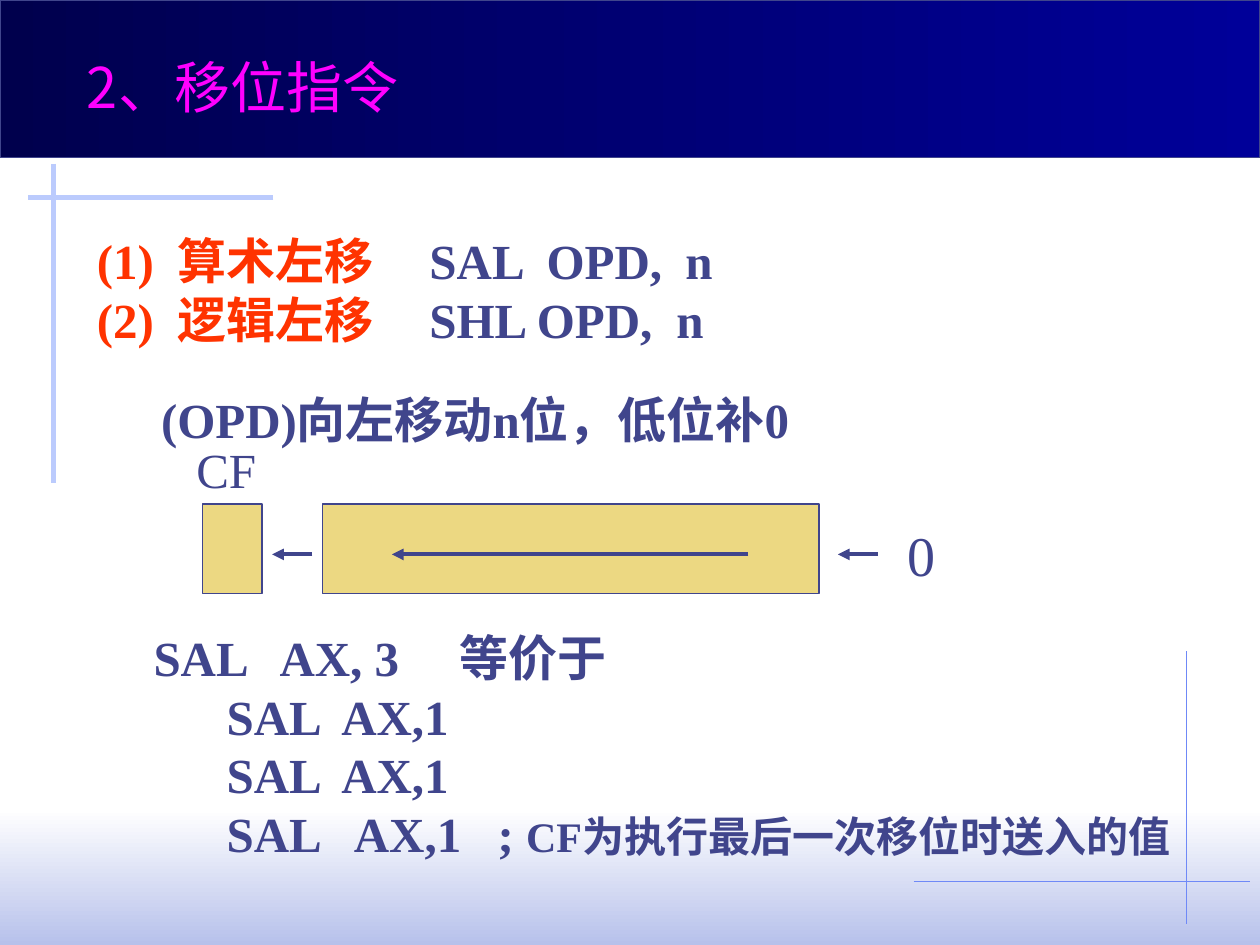
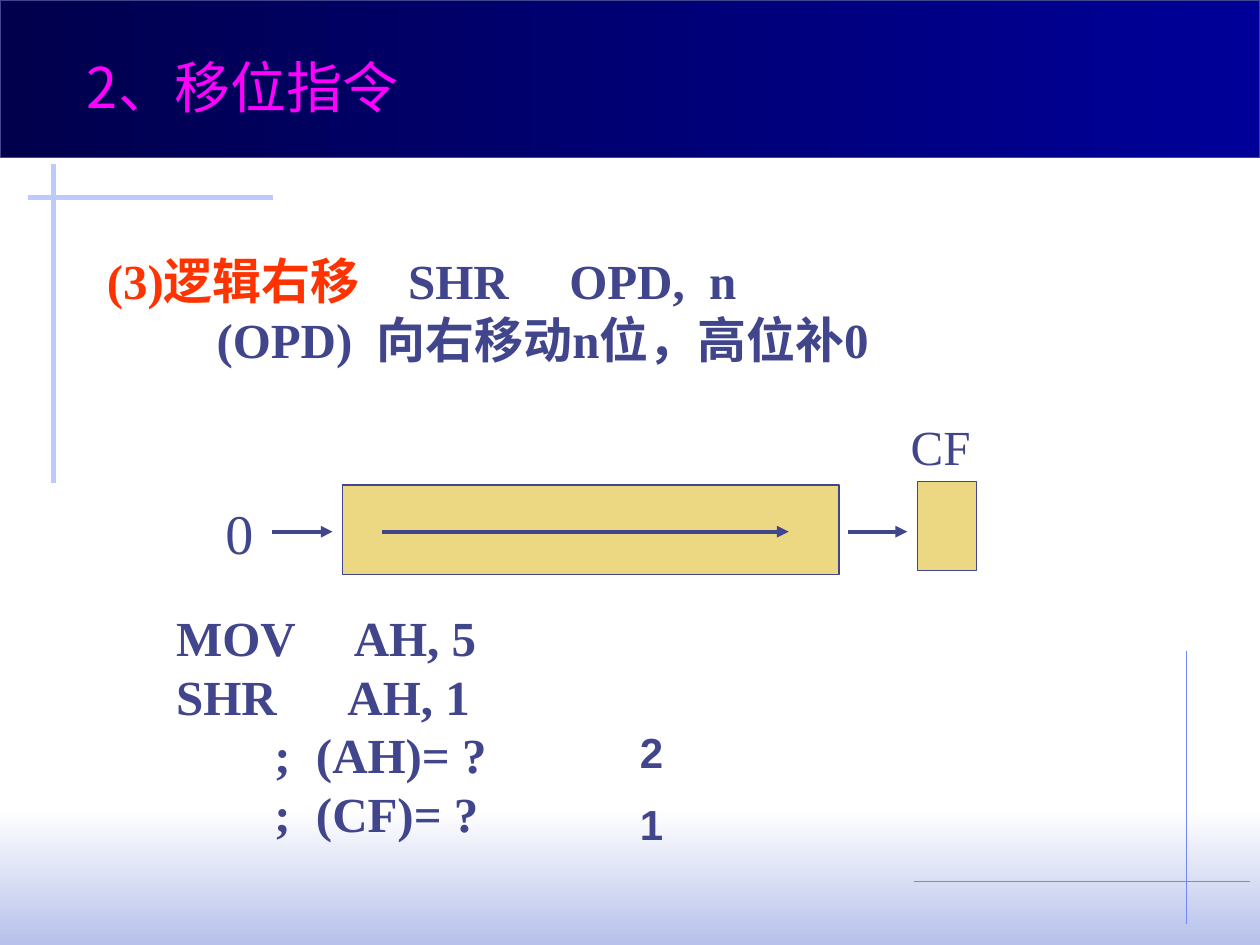
from dataclasses import dataclass

from lxml.etree import SubElement
from pptx import Presentation
from pptx.dml.color import RGBColor
from pptx.enum.shapes import MSO_CONNECTOR as Connector, MSO_SHAPE as Shape
from pptx.enum.text import MSO_ANCHOR as Anchor, MSO_AUTO_SIZE as AutoSize, PP_ALIGN as Align
from pptx.oxml.ns import qn
from pptx.util import Inches, Pt

WIDTH, HEIGHT = Inches(10), Inches(7.5)
COLUMN, ROW = WIDTH / 100, HEIGHT / 75


@dataclass(frozen=True)
class Theme:
    """Colours, fonts and type sizes of the deck."""
    ink: str = "40458C"
    heading: str = "FF3300"
    title: str = "FF00FF"
    box: str = "ECD882"
    band: tuple = ("00004D", "000099")
    glow: tuple = ("FFFFFF", "B7C1EB")
    cross: str = "BBCBFD"
    corner: str = "6F89F7"
    serif: str = "Times New Roman"
    sans: str = "Arial"
    chinese: str = "Noto Sans CJK SC"
    large: int = 32
    body: int = 28
    small: int = 24
    hairline: float = 0.75
    arrow: float = 2.25
    bar: float = 3


@dataclass(frozen=True)
class Run:
    """A piece of text with its format."""
    text: str
    color: str
    size: int
    font: str
    bold: bool


@dataclass(frozen=True)
class Line:
    """A paragraph with tab stops and an indent, in columns."""
    runs: tuple
    tabs: tuple = ()
    indent: float = 0


@dataclass(frozen=True)
class Shift:
    """Column offsets of the parts of a shift diagram."""
    flag: float
    register: float
    register_row: float
    zero: float
    arrows: tuple


THEME = Theme()
TITLE = "2、移位指令"


def color(value):
    """Return a colour from its hexadecimal form."""
    return RGBColor.from_string(value)


def run(text, color=THEME.ink, size=THEME.body, font=THEME.serif, bold=True):
    """Return a run in the body style unless told otherwise."""
    return Run(text, color, size, font, bold)


def place(left, top, width, height):
    """Turn columns and rows into slide lengths."""
    return [round(n * unit) for n, unit in zip((left, top, width, height), (COLUMN, ROW) * 2)]


def add_line(slide, start, end, line_color, width, arrow=False):
    """Draw a straight line, with an arrowhead at its end if asked."""
    connector = slide.shapes.add_connector(Connector.STRAIGHT, *place(*start, *end))
    connector.line.color.rgb = color(line_color)
    connector.line.width = Pt(width)
    properties = connector.element.spPr
    if arrow:
        SubElement(properties.find(qn("a:ln")), qn("a:tailEnd"), type="triangle")
    SubElement(properties, qn("a:effectLst"))
    return connector


def add_box(slide, box, fills, angle=0, outline=THEME.ink):
    """Draw a rectangle with a plain fill or a two-colour gradient."""
    shape = slide.shapes.add_shape(Shape.RECTANGLE, *place(*box))
    shape.shadow.inherit = False
    if len(fills) == 1:
        shape.fill.solid()
        shape.fill.fore_color.rgb = color(fills[0])
    else:
        shape.fill.gradient()
        shape.fill.gradient_angle = angle
        for stop, value, position in zip(shape.fill.gradient_stops, fills, (0, 1)):
            stop.color.rgb, stop.position = color(value), position
    if outline:
        shape.line.color.rgb = color(outline)
        shape.line.width = Pt(THEME.hairline)
    else:
        shape.line.fill.background()
    return shape


def write_line(paragraph, line):
    """Fill a paragraph with the tab stops and runs of a line."""
    paragraph.alignment = Align.LEFT
    properties = paragraph._p.get_or_add_pPr()
    if line.indent:
        properties.set("marL", str(round(line.indent * COLUMN)))
    if line.tabs:
        stops = SubElement(properties, qn("a:tabLst"))
        for tab in line.tabs:
            SubElement(stops, qn("a:tab"), pos=str(round(tab * COLUMN)), algn="l")
    for piece in line.runs:
        text = paragraph.add_run()
        text.text = piece.text
        formats = {"name": piece.font, "size": Pt(piece.size), "bold": piece.bold}
        for name, value in formats.items():
            setattr(text.font, name, value)
        text.font.color.rgb = color(piece.color)
        if piece.font == THEME.chinese:
            SubElement(text.font._element, qn("a:ea"), typeface=piece.font)


def write(shape, lines, wrap=False):
    """Write lines into the text frame of a shape."""
    frame = shape.text_frame
    formats = {"word_wrap": wrap, "auto_size": AutoSize.SHAPE_TO_FIT_TEXT,
               "vertical_anchor": Anchor.TOP}
    for name, value in formats.items():
        setattr(frame, name, value)
    for number, line in enumerate(lines):
        write_line(frame.add_paragraph() if number else frame.paragraphs[0], line)


def add_text(slide, box, lines, wrap=False):
    """Add a text box holding the given lines."""
    write(slide.shapes.add_textbox(*place(*box)), lines, wrap)


def add_title(slide):
    """Move the title placeholder into the band and fill it."""
    title = slide.shapes.title
    title.left, title.top, title.width, title.height = place(5.9, 3.7, 28, 6.4)
    write(title, [Line((run(TITLE, THEME.title, THEME.large, THEME.chinese, False),))])


def decorate_layout(slide):
    """Draw the band, glow and crossed lines and hand them to the layout."""
    parts = [
        add_box(slide, (0, 64.2, 100, 10.8), THEME.glow, 270, None),
        add_line(slide, (94.17, 51.7), (94.17, 73.3), THEME.corner, THEME.hairline),
        add_line(slide, (21.7, 15.7), (2.2, 15.7), THEME.cross, THEME.bar),
        add_line(slide, (4.27, 13), (4.27, 38.3), THEME.cross, THEME.bar),
        add_box(slide, (0, 0, 100, 12.5), THEME.band),
        add_line(slide, (72.5, 69.98), (99.2, 69.98), THEME.corner, THEME.hairline),
    ]
    tree = slide.slide_layout.shapes.element
    for index, part in enumerate(parts, start=2):
        tree.insert(index, part.element)


def add_shift_diagram(slide, left, top, shift):
    """Draw register, carry flag, incoming zero and the shift arrows."""
    for offset, row, width in ((shift.register, shift.register_row, 39.4), (shift.flag, 5.6, 4.7)):
        add_box(slide, (left + offset, top + row, width, 7.1), (THEME.box,))
    add_text(slide, (left + shift.flag - 1.5, top, 7, 5.7), [Line((run("CF", bold=False),))])
    add_text(slide, (left + shift.zero, top + 6.45, 4.2, 6.4),
             [Line((run("0", size=THEME.large, bold=False),))])
    for start, end in shift.arrows:
        add_line(slide, (left + start, top + 9.6), (left + end, top + 9.6),
                 THEME.ink, THEME.arrow, arrow=True)


def build_left_shift(slide):
    """Fill the slide on shifting left."""
    add_title(slide)
    add_text(slide, (6.7, 17.8, 59.8, 10.4), [
        Line((run("(1)\t算术左移\t", THEME.heading), run("SAL\tOPD,\tn")), (6.4, 26.4, 35.7, 46.7)),
        Line((run("(2)\t逻辑左移\t", THEME.heading), run("SHL OPD,\tn")), (6.4, 26.4, 46)),
    ], wrap=True)
    add_text(slide, (9.8, 30.4, 73.2, 5.7),
             [Line((run("(OPD)向左移动n位，低位补0"),), indent=2)], wrap=True)
    arrows = ((10.2, 7), (44.8, 16.5), (55.1, 51.9))
    add_shift_diagram(slide, 14.6, 34.4, Shift(1.5, 11, 5.6, 56.4, arrows))
    step = Line((run("\tSAL\tAX,1"),), (5.8, 14.9))
    add_text(slide, (11.2, 49.3, 83.9, 19.7), [
        Line((run("SAL\tAX, 3\t等价于"),), (10, 24.3)),
        step,
        step,
        Line((run("\tSAL\tAX,1\t; "), run("CF为执行最后一次移位时送入的值", size=THEME.small)),
             (5.8, 15.9, 27.3)),
    ])


def build_right_shift(slide):
    """Fill the slide on shifting right."""
    add_title(slide)
    add_text(slide, (7.5, 19.4, 83.5, 10.4), [
        Line((run("(3)逻辑右移\t", THEME.heading), run("SHR\tOPD,\tn")), (23.9, 36.7, 47.8)),
        Line((run("\t(OPD)\t向右移动n位，高位补0"),), (8.7, 21.4)),
    ], wrap=True)
    arrows = ((4.7, 9.5), (13.4, 45.7), (50.4, 55.1))
    add_shift_diagram(slide, 16.9, 32.6, Shift(55.9, 10.3, 5.9, 0, arrows))
    questions = [Line((run(f"\t;\t({name})= ?"),), (7.8, 11.1)) for name in ("AH", "CF")]
    add_text(slide, (13, 47.7, 34.6, 19.7), [
        Line((run("MOV\tAH, 5"),), (14.1,)),
        Line((run("SHR\tAH, 1"),), (13.6,)),
        *questions,
    ])
    for number, answer in enumerate("21"):
        add_text(slide, (49.8, 57.2 + 5.7 * number, 3.8, 5),
                 [Line((run(answer, size=THEME.small, font=THEME.sans),))])


def main():
    """Build and save the deck."""
    presentation = Presentation()
    presentation.slide_width, presentation.slide_height = WIDTH, HEIGHT
    layout = presentation.slide_layouts[5]
    slides = [presentation.slides.add_slide(layout) for _ in range(2)]
    decorate_layout(slides[0])
    build_left_shift(slides[0])
    build_right_shift(slides[1])
    presentation.save("out.pptx")


if __name__ == "__main__":
    main()
